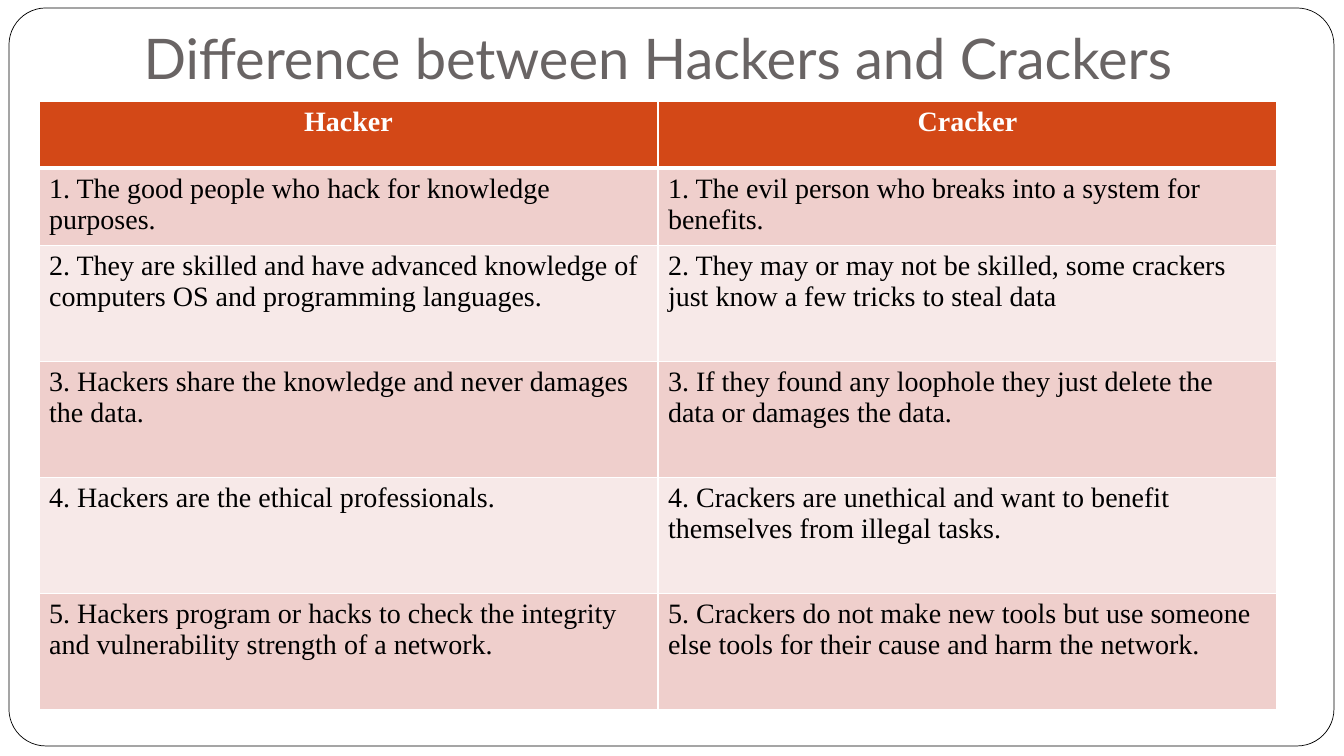
import pptx
import pptx.util
import pptx.dml.color
import pptx.enum.shapes
import pptx.enum.text
import pptx.oxml.ns
import lxml.etree

PX = 914400 / 100.8
ALIGN = pptx.enum.text.PP_ALIGN


def px(*lengths):
    return [pptx.util.Emu(round(n * PX)) for n in lengths]


def rgb(color):
    return pptx.dml.color.RGBColor.from_string(color)


def write(tf, text, size=20, font="Times New Roman", color="000000", bold=False, align=ALIGN.LEFT):
    tf.word_wrap = True
    p = tf.paragraphs[0]
    p.alignment = align
    r = p.add_run()
    r.text = text
    r.font.size = pptx.util.Pt(size)
    r.font.name = font
    r.font.bold = bold
    r.font.color.rgb = rgb(color)


prs = pptx.Presentation()
prs.slide_width, prs.slide_height = px(1344, 756)
s = prs.slides.add_slide(prs.slide_layouts[6])

frame = s.shapes.add_shape(pptx.enum.shapes.MSO_SHAPE.ROUNDED_RECTANGLE, *px(9, 8, 1325, 738))
frame.adjustments[0] = 0.05
frame.shadow.inherit = False
frame.fill.solid()
frame.fill.fore_color.rgb = rgb("FFFFFF")
frame.line.color.rgb = rgb("000000")
frame.line.width = pptx.util.Pt(0.5)

title = s.shapes.add_textbox(*px(39, 0, 1238, 101))
tf = title.text_frame
tf.vertical_anchor = pptx.enum.text.MSO_ANCHOR.BOTTOM
tf.margin_bottom = pptx.util.Inches(0.1)
write(tf, "Difference between Hackers and Crackers", size=40, font="Lato", color="696464", align=ALIGN.CENTER)

rows = [
    ("Hacker", "Cracker"),
    ("1. The good people who hack for knowledge purposes.",
     "1. The evil person who breaks into a system for benefits."),
    ("2. They are skilled and have advanced knowledge of computers OS and programming languages.",
     "2. They may or may not be skilled, some crackers just know a few tricks to steal data"),
    ("3. Hackers share the knowledge and never damages the data.",
     "3. If they found any loophole they just delete the data or damages the data."),
    ("4. Hackers are the ethical professionals.",
     "4. Crackers are unethical and want to benefit themselves from illegal tasks."),
    ("5. Hackers program or hacks to check the integrity and vulnerability strength of a network.",
     "5. Crackers do not make new tools but use someone else tools for their cause and harm the network."),
]
heights = [67, 73] + [116] * 4

table = s.shapes.add_table(len(rows), 2, *px(39, 101, 1238, sum(heights))).table
for col in table.columns:
    col.width = px(619)[0]

for i, texts in enumerate(rows):
    header = i == 0
    table.rows[i].height = px(heights[i])[0]
    for j, text in enumerate(texts):
        cell = table.cell(i, j)
        tcPr = cell._tc.get_or_add_tcPr()
        for side in ("L", "R", "T", "B"):
            thick = (header and side == "B") or (i == 1 and side == "T")
            ln = lxml.etree.SubElement(tcPr, pptx.oxml.ns.qn("a:ln" + side), w=str(pptx.util.Pt(3 if thick else 1)))
            line_fill = lxml.etree.SubElement(ln, pptx.oxml.ns.qn("a:solidFill"))
            lxml.etree.SubElement(line_fill, pptx.oxml.ns.qn("a:srgbClr"), val="FFFFFF")
        cell.fill.solid()
        cell.fill.fore_color.rgb = rgb("D34817" if header else ("F7E9E8", "EFCFCC")[i % 2])
        if header:
            write(cell.text_frame, text, color="FFFFFF", bold=True, align=ALIGN.CENTER)
        else:
            write(cell.text_frame, text)

prs.save("out.pptx")
